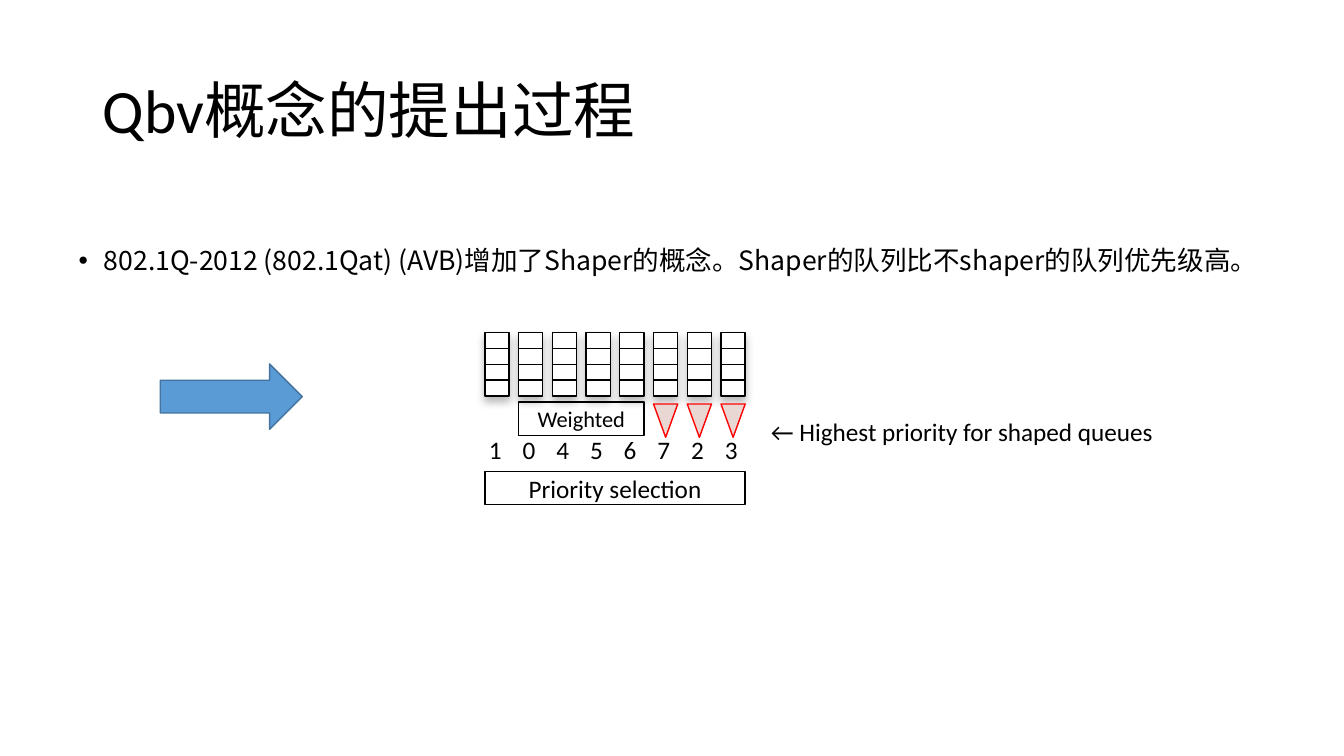
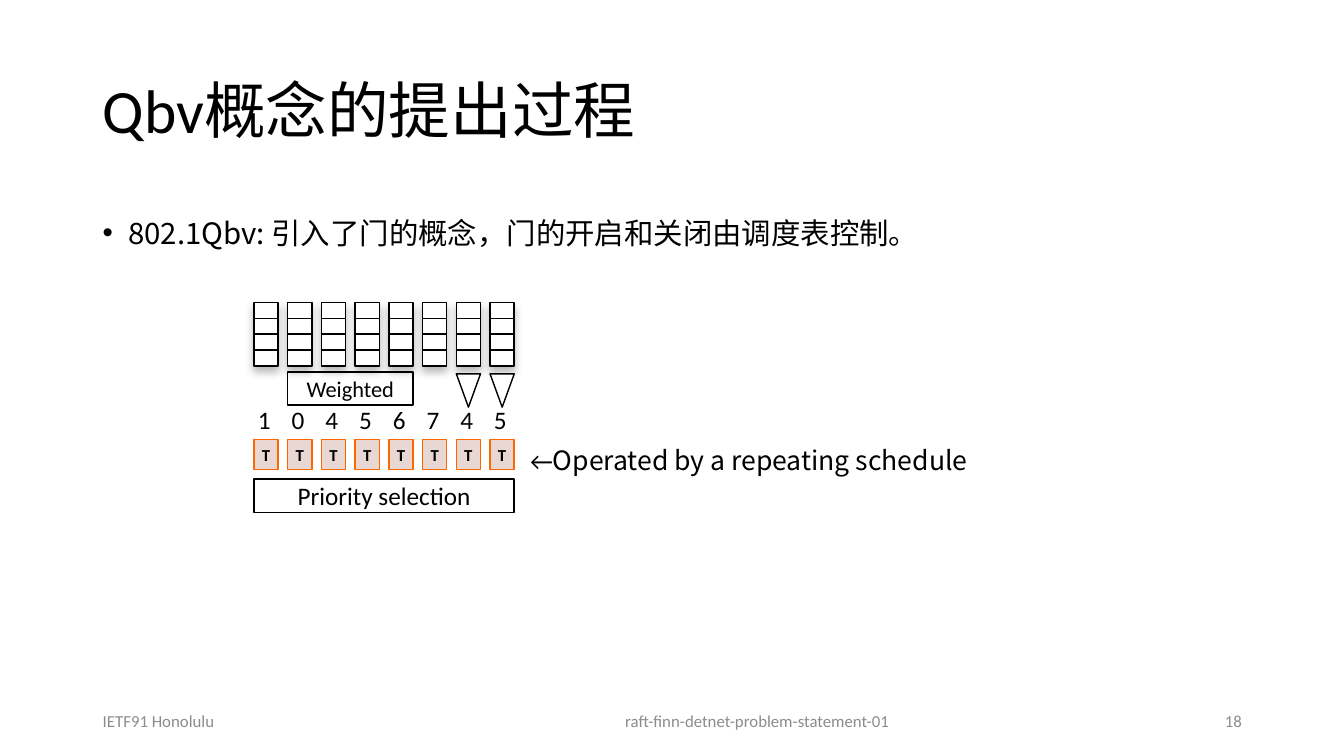
"""Build two slides on how the Qbv concept came about, each with a queue diagram."""
import dataclasses

import lxml.etree
import pptx
import pptx.dml.color
import pptx.enum.shapes
import pptx.enum.text
import pptx.oxml.ns
import pptx.util

Cm = pptx.util.Cm
Pt = pptx.util.Pt
RGB = pptx.dml.color.RGBColor.from_string
Preset = pptx.enum.shapes.MSO_SHAPE
Align = pptx.enum.text.PP_ALIGN
Anchor = pptx.enum.text.MSO_ANCHOR
qn = pptx.oxml.ns.qn


@dataclasses.dataclass(frozen=True)
class Theme:
    """Colours, fonts and type sizes."""
    black: str = "000000"
    white: str = "FFFFFF"
    grey: str = "8C8C8C"
    red: str = "FF0000"
    orange: str = "FF6600"
    pink: str = "E9D7D3"
    blue: str = "5B9BD5"
    dark_blue: str = "43739E"
    latin: str = "Calibri"
    asian: str = "Noto Sans CJK SC"
    title: int = 44
    label: int = 18
    weighted: int = 16
    small: int = 12


theme = Theme()


def write(shape, runs, align=Align.LEFT, anchor=Anchor.TOP, color=theme.black, bold=False, spacing=None, before=0):
    """Fill a shape with one paragraph of (text, size, font) runs."""
    frame = shape.text_frame
    frame.word_wrap = True
    frame.vertical_anchor = anchor
    paragraph = frame.paragraphs[0]
    paragraph.alignment = align
    paragraph.space_before = Pt(before)
    if spacing:
        paragraph.line_spacing = spacing
    for text, size, font in runs:
        run = paragraph.add_run()
        run.text = text
        run.font.size = Pt(size)
        run.font.name = font
        run.font.bold = bold
        run.font.color.rgb = RGB(color)
        east_asian = lxml.etree.SubElement(run.font._element, qn("a:ea"))
        east_asian.set("typeface", theme.asian)
    return paragraph


def add_box(shapes, preset, left, top, width, height, fill, line):
    """Draw a flat preset shape, measured in centimetres."""
    shape = shapes.add_shape(preset, Cm(left), Cm(top), Cm(width), Cm(height))
    shape.shadow.inherit = False
    if fill:
        shape.fill.solid()
        shape.fill.fore_color.rgb = RGB(fill)
    else:
        shape.fill.background()
    shape.line.color.rgb = RGB(line)
    shape.line.width = Pt(1)
    frame = shape.text_frame
    frame.margin_left = frame.margin_right = frame.margin_top = frame.margin_bottom = 0
    return shape


pages = [
    {
        "body": "802.1Q-2012 (802.1Qat) (AVB)增加了Shaper的概念。Shaper的队列比不shaper的队列优先级高。",
        "body_at": (1.73, 5.87, 30.35, 11.18), "body_size": 19, "body_spacing": 1.2,
        "left": 12.22, "top": 8.38, "priorities": "10456723",
        "shapers": (5, 6, 7), "shaper_fill": theme.pink, "shaper_line": theme.red,
        "gates": False, "selection_offset": 3.5,
        "note": [("← Highest priority for shaped queues", theme.label, theme.latin)],
        "note_at": (19.18, 10.36), "note_spacing": None, "note_before": 0,
        "arrow": True, "footers": [],
    },
    {
        "body": "802.1Qbv: 引入了门的概念，门的开启和关闭由调度表控制。",
        "body_at": (2.34, 5.03, 29.21, 12.09), "body_size": 21, "body_spacing": 1.3,
        "left": 6.4, "top": 7.62, "priorities": "10456745",
        "shapers": (6, 7), "shaper_fill": theme.white, "shaper_line": theme.black,
        "gates": True, "selection_offset": 4.45,
        "note": [("←", theme.label, theme.latin), ("Operated by a repeating schedule", 19, theme.asian)],
        "note_at": (13.11, 10.9), "note_spacing": 1.2, "note_before": 10,
        "arrow": False,
        "footers": [
            ("IETF91 Honolulu", 2.34, 7.62, Align.LEFT),
            ("raft-finn-detnet-problem-statement-01", 11.23, 11.43, Align.RIGHT),
            ("18", 23.93, 7.62, Align.RIGHT),
        ],
    },
]

pitch, queue_width, queue_height, cells = 0.85, 0.61, 1.6, 4
bar_height = 0.84

presentation = pptx.Presentation()
presentation.slide_width = Cm(33.87)
presentation.slide_height = Cm(19.05)

for page in pages:
    slide = presentation.slides.add_slide(presentation.slide_layouts[6])
    shapes = slide.shapes
    left, top = page["left"], page["top"]

    title = shapes.add_textbox(Cm(2.34), Cm(1.02), Cm(29.21), Cm(3.68))
    write(title, [("Qbv概念的提出过程", theme.title, theme.latin)], anchor=Anchor.MIDDLE, spacing=0.9)

    body = shapes.add_textbox(*[Cm(value) for value in page["body_at"]])
    paragraph = write(body, [(page["body"], page["body_size"], theme.asian)],
                      spacing=page["body_spacing"], before=10)
    properties = paragraph._p.get_or_add_pPr()
    properties.set("marL", str(Cm(0.64)))
    properties.set("indent", str(-Cm(0.64)))
    lxml.etree.SubElement(properties, qn("a:buFont")).set("typeface", "Arial")
    lxml.etree.SubElement(properties, qn("a:buChar")).set("char", "•")

    for index, priority in enumerate(page["priorities"]):
        x = left + index * pitch
        group = shapes.add_group_shape()
        queue = add_box(group.shapes, Preset.RECTANGLE, x, top, queue_width, queue_height,
                        theme.white, theme.black)
        effects = queue.element.spPr.find(qn("a:effectLst"))
        shadow = lxml.etree.SubElement(effects, qn("a:outerShdw"), blurRad=str(Pt(6)),
                                       dist=str(Pt(4)), dir="5400000", rotWithShape="0")
        shadow_color = lxml.etree.SubElement(shadow, qn("a:srgbClr"), val=theme.black)
        lxml.etree.SubElement(shadow_color, qn("a:alpha"), val="27000")
        for cell in range(1, cells):
            y = top + cell * queue_height / cells
            divider = group.shapes.add_connector(pptx.enum.shapes.MSO_CONNECTOR.STRAIGHT,
                                                 Cm(x), Cm(y), Cm(x + queue_width), Cm(y))
            divider.line.color.rgb = RGB(theme.black)
            divider.line.width = Pt(1)
            lxml.etree.SubElement(divider.element.spPr, qn("a:effectLst"))
            if cell * 2 == cells:
                divider.begin_connect(queue, 1)
                divider.end_connect(queue, 3)

        number = shapes.add_textbox(Cm(x - 0.15), Cm(top + 2.44), Cm(0.86), Cm(1.02))
        write(number, [(priority, theme.label, theme.latin)])
        if index in page["shapers"]:
            shaper = add_box(shapes, Preset.ISOSCELES_TRIANGLE, x, top + 1.8, queue_width, bar_height,
                             page["shaper_fill"], page["shaper_line"])
            shaper.rotation = 180
        if page["gates"]:
            gate = add_box(shapes, Preset.RECTANGLE, x, top + 3.45, queue_width, 0.76,
                           theme.pink, theme.orange)
            write(gate, [("T", theme.small, theme.latin)], Align.CENTER, Anchor.MIDDLE, bold=True)

    bars = [
        ("Weighted", theme.weighted, 1, 4, 1.75, None),
        ("Priority selection", theme.label, 0, 8, page["selection_offset"], theme.white),
    ]
    for text, size, first, count, offset, fill in bars:
        bar = add_box(shapes, Preset.RECTANGLE, left + first * pitch, top + offset,
                      (count - 1) * pitch + queue_width, bar_height, fill, theme.black)
        write(bar, [(text, size, theme.latin)], Align.CENTER, Anchor.MIDDLE)

    note_left, note_top = page["note_at"]
    note = shapes.add_textbox(Cm(note_left), Cm(note_top), Cm(12.5), Cm(1.1))
    write(note, page["note"], spacing=page["note_spacing"], before=page["note_before"])

    if page["arrow"]:
        add_box(shapes, Preset.RIGHT_ARROW, 4.04, 9.17, 3.58, 1.65, theme.blue, theme.dark_blue)

    for text, footer_left, width, align in page["footers"]:
        footer = shapes.add_textbox(Cm(footer_left), Cm(17.65), Cm(width), Cm(1.02))
        write(footer, [(text, theme.small, theme.latin)], align, Anchor.MIDDLE, theme.grey)

presentation.save("out.pptx")
